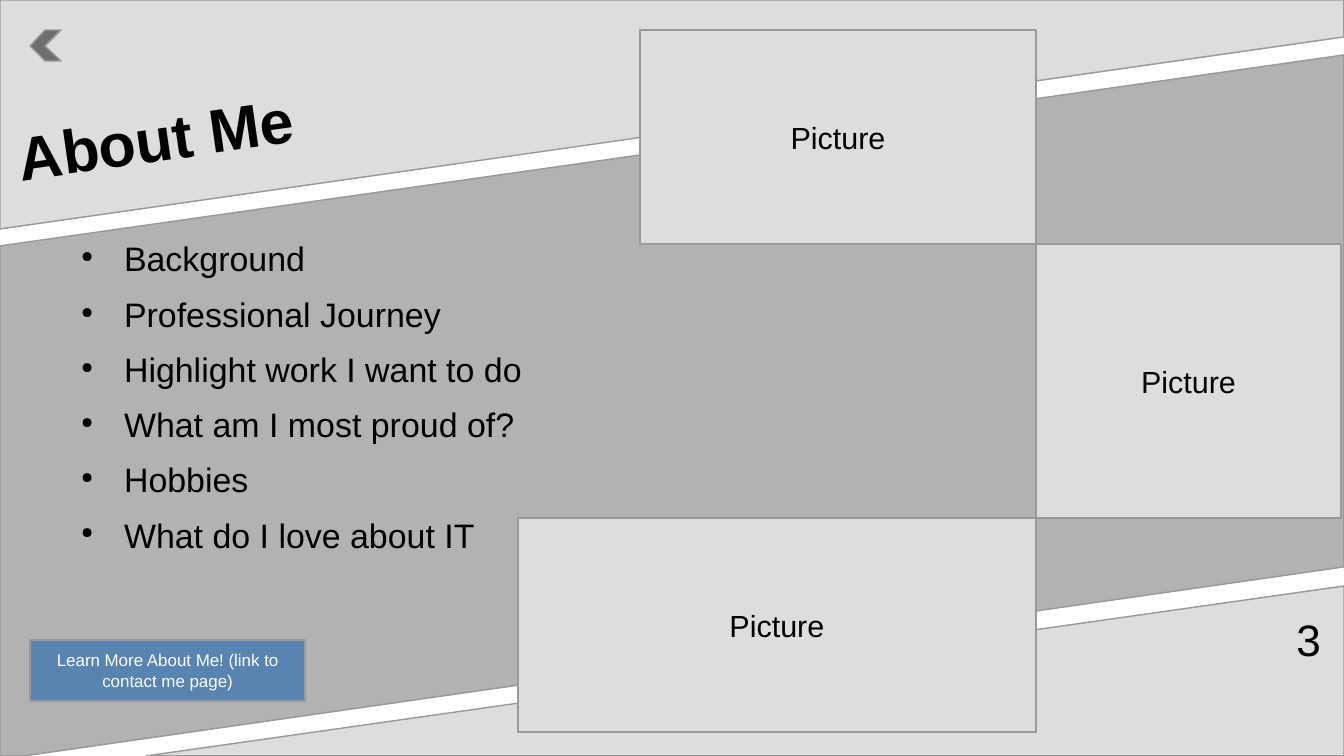
from lxml.etree import SubElement
from pptx import Presentation
from pptx.dml.color import RGBColor
from pptx.enum.shapes import MSO_SHAPE
from pptx.enum.text import MSO_ANCHOR, MSO_AUTO_SIZE, PP_ALIGN
from pptx.oxml.ns import qn
from pptx.util import Pt

PX = 7495  # EMU in one px, at 122 px to the inch
WIDTH, HEIGHT = 1344, 756
FONT = "Arial"

BLACK = RGBColor(0x00, 0x00, 0x00)
WHITE = RGBColor(0xFF, 0xFF, 0xFF)
LIGHT = RGBColor(0xDD, 0xDD, 0xDD)
MIDDLE = RGBColor(0xB2, 0xB2, 0xB2)
OUTLINE = RGBColor(0x99, 0x99, 0x99)
BLUE = RGBColor(0x59, 0x83, 0xB0)

BANDS = [
    ([(146, 756), (1344, 756), (1344, 586)], LIGHT),
    ([(0, 756), (24, 756), (1344, 567), (1344, 55), (0, 246)], MIDDLE),
    ([(0, 229), (0, 0), (1344, 0), (1344, 37)], LIGHT),
]
BACK_ARROW = [(61, 30), (45, 30), (30, 46), (45, 61), (61, 61), (45, 46)]
PICTURE_BOXES = [(640, 30, 396, 214), (1036, 244, 305, 274), (518, 518, 518, 214)]
TOPICS = [
    "Background",
    "Professional Journey",
    "Highlight work I want to do",
    "What am I most proud of?",
    "Hobbies",
    "What do I love about IT",
]


def emu(*lengths):
    return [length * PX for length in lengths]


def paint(shape, color):
    shape.shadow.inherit = False
    shape.fill.solid()
    shape.fill.fore_color.rgb = color
    shape.line.color.rgb = OUTLINE
    shape.line.width = Pt(0.85)


def add_outline(page, points, color):
    builder = page.shapes.build_freeform(*points[0], scale=PX)
    builder.add_line_segments(points[1:], close=True)
    shape = builder.convert_to_shape()
    paint(shape, color)
    return shape


def set_opacity(shape, percent):
    color = shape.fill._xPr.find(qn("a:solidFill"))[0]
    SubElement(color, qn("a:alpha"), val=str(percent * 1000))


def write(para, text, size, color=BLACK, align=PP_ALIGN.LEFT, bold=False):
    para.alignment = align
    run = para.add_run()
    run.text = text
    run.font.name = FONT
    run.font.size = Pt(size)
    run.font.bold = bold
    run.font.color.rgb = color


def clear_insets(frame):
    frame.margin_left = frame.margin_right = 0
    frame.margin_top = frame.margin_bottom = 0
    frame.word_wrap = True
    frame.auto_size = MSO_AUTO_SIZE.NONE


def add_title(page, text):
    title = page.shapes.title
    title.left, title.top, title.width, title.height = emu(12, 9, 1200, 127)
    title.rotation = 351.9
    clear_insets(title.text_frame)
    title.text_frame.vertical_anchor = MSO_ANCHOR.MIDDLE
    write(title.text_frame.paragraphs[0], text, 36, bold=True)


def add_text_box(page, place):
    box = page.shapes.add_textbox(*emu(*place))
    clear_insets(box.text_frame)
    return box.text_frame


def add_bullet(para):
    props = para._p.get_or_add_pPr()
    props.set("marL", str(57 * PX))
    props.set("indent", str(-43 * PX))
    para.space_after = Pt(8.6)
    color = SubElement(props, qn("a:buClr"))
    SubElement(color, qn("a:srgbClr"), val=str(BLACK))
    SubElement(props, qn("a:buSzPct"), val="45000")
    SubElement(props, qn("a:buChar"), char="●")


def add_topics(page, topics):
    frame = add_text_box(page, (67, 238, 1183, 439))
    for index, topic in enumerate(topics):
        para = frame.add_paragraph() if index else frame.paragraphs[0]
        add_bullet(para)
        write(para, topic, 20, align=PP_ALIGN.JUSTIFY)


def add_label_box(page, place, text, size, fill, color):
    box = page.shapes.add_shape(MSO_SHAPE.RECTANGLE, *emu(*place))
    paint(box, fill)
    box.text_frame.word_wrap = True
    box.text_frame.vertical_anchor = MSO_ANCHOR.MIDDLE
    write(box.text_frame.paragraphs[0], text, size, color, PP_ALIGN.CENTER)


def main():
    deck = Presentation()
    deck.slide_width, deck.slide_height = emu(WIDTH, HEIGHT)
    page = deck.slides.add_slide(deck.slide_layouts.get_by_name("Title Only"))

    for points, color in BANDS:
        add_outline(page, points, color)
    add_title(page, "About Me")
    add_topics(page, TOPICS)
    for place in PICTURE_BOXES:
        add_label_box(page, place, "Picture", 18, LIGHT, BLACK)
    add_label_box(page, (30, 640, 275, 61),
                  "Learn More About Me! (link to contact me page)", 10, BLUE, WHITE)
    set_opacity(add_outline(page, BACK_ARROW, BLACK), 50)

    number = add_text_box(page, (985, 612, 336, 53))
    write(number.paragraphs[0], "3", 26, align=PP_ALIGN.RIGHT)

    # The title placeholder comes first in the tree; lift it above the bands.
    title = page.shapes.title._element
    page.shapes[len(BANDS)]._element.addnext(title)
    deck.save("out.pptx")


if __name__ == "__main__":
    main()
